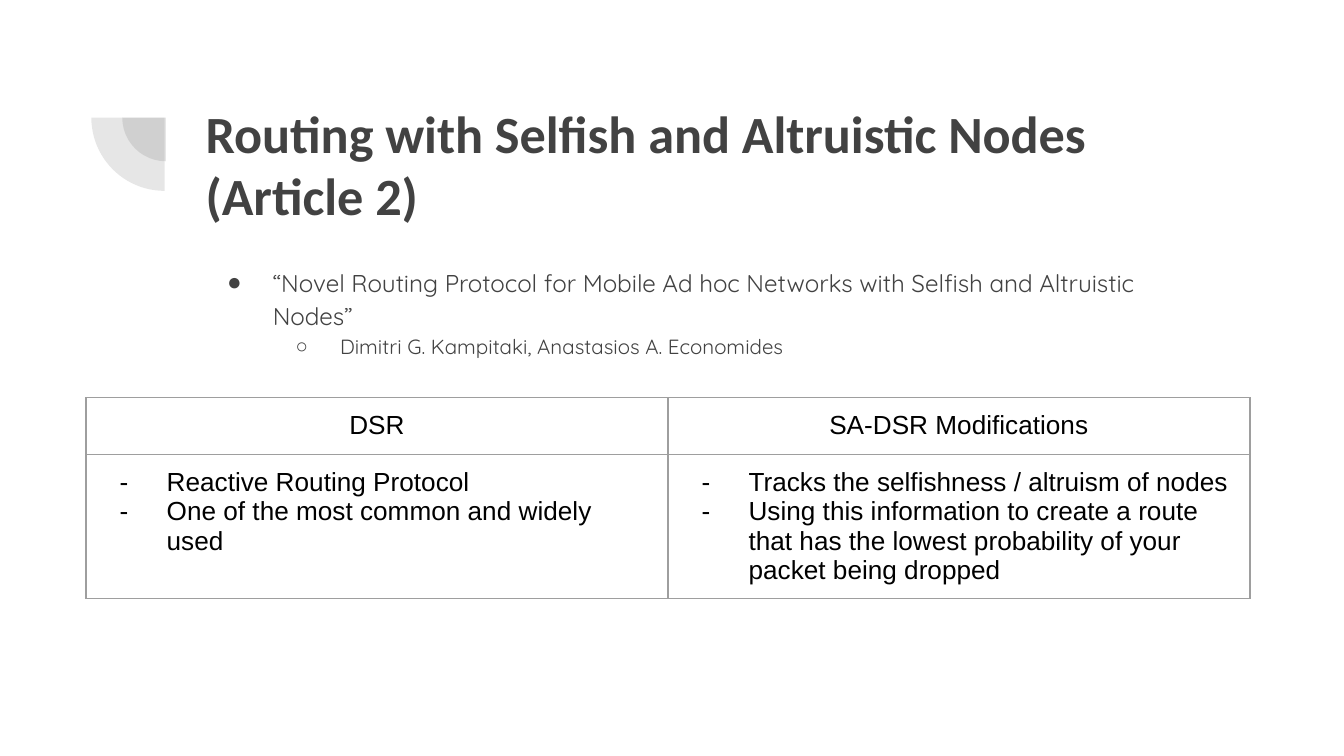
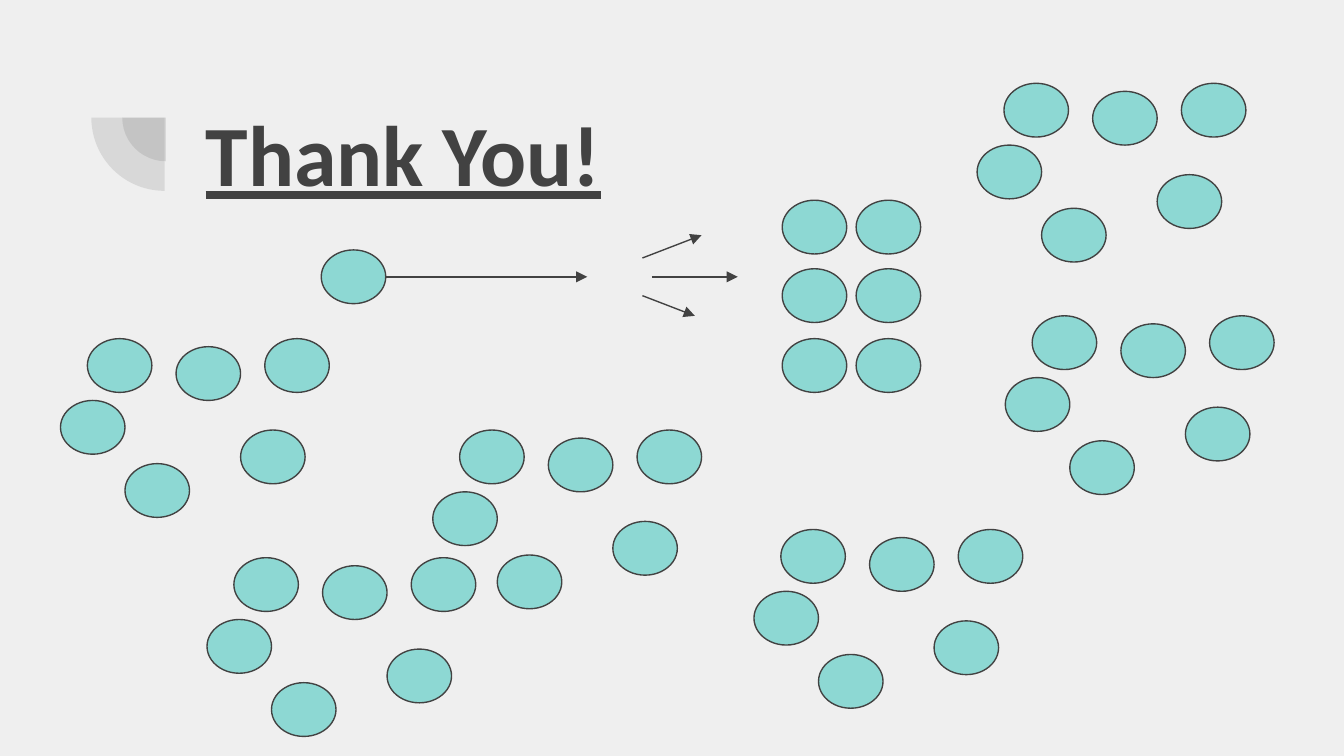
from lxml import etree
from pptx import Presentation
from pptx.dml.color import RGBColor
from pptx.enum.shapes import MSO_CONNECTOR, MSO_SHAPE
from pptx.enum.text import MSO_ANCHOR, MSO_AUTO_SIZE, PP_ALIGN
from pptx.oxml.ns import qn
from pptx.util import Inches, Pt

INK = RGBColor(0x42, 0x42, 0x42)
BLACK = RGBColor(0x00, 0x00, 0x00)
WHITE = RGBColor(0xFF, 0xFF, 0xFF)
PALE = RGBColor(0xEF, 0xEF, 0xEF)
TEAL = RGBColor(0x8D, 0xD8, 0xD3)
RULE = RGBColor(0x9E, 0x9E, 0x9E)

TITLE_ONLY, TITLE_AND_BODY = 5, 1
NODE_W, NODE_H = 0.48, 0.4
# Places of the nodes in one scattered cluster, from its top left corner
CLUSTER = [(0.86, 0.06), (1.34, 0.68), (0, 0.46), (0.2, 0), (0.48, 0.93), (1.52, 0)]
CLUSTER_CORNERS = [(5.61, 3.94), (0.45, 2.52), (3.22, 3.2),
                   (1.54, 4.15), (7.48, 2.35), (7.27, 0.62)]
ARROWS = [((2.87, 2.06), (4.37, 2.06)), ((4.78, 1.92), (5.22, 1.75)),
          ((4.85, 2.06), (5.49, 2.06)), ((4.78, 2.2), (5.17, 2.35))]


def sub(parent, tag, **attrs):
    return etree.SubElement(parent, qn(tag), attrs)


def add_run(p, text, font, size, color, bold=False, underline=False):
    r = p.add_run()
    r.text = text
    r.font.name = font
    r.font.size = Pt(size)
    r.font.color.rgb = color
    r.font.bold = bold
    r.font.underline = underline


def set_bullet(p, char, color, left, hanging):
    pPr = p._p.get_or_add_pPr()
    pPr.set("marL", str(Inches(left)))
    pPr.set("indent", str(-Inches(hanging)))
    sub(sub(pPr, "a:buClr"), "a:srgbClr", val=str(color))
    sub(pPr, "a:buFont", typeface="Arial")
    sub(pPr, "a:buChar", char=char)


def set_borders(cell, color, width):
    tcPr = cell._tc.get_or_add_tcPr()
    for side in ("a:lnL", "a:lnR", "a:lnT", "a:lnB"):
        ln = sub(tcPr, side, w=str(Pt(width)))
        sub(sub(ln, "a:solidFill"), "a:srgbClr", val=str(color))


class Deck:
    def __init__(self):
        self.prs = Presentation()
        self.prs.slide_width = Inches(10)
        self.prs.slide_height = Inches(10 * 9 / 16)
        self.s = None

    def slide(self, layout, background):
        self.s = self.prs.slides.add_slide(self.prs.slide_layouts[layout])
        self.s.background.fill.solid()
        self.s.background.fill.fore_color.rgb = background
        self.quarter_disc(0.91, 0.55, 0.65)
        self.quarter_disc(0.68, 0.33, 1.09)

    def shape(self, kind, x, y, w, h, color):
        shape = self.s.shapes.add_shape(kind, Inches(x), Inches(y), Inches(w), Inches(h))
        shape.shadow.inherit = False
        shape.fill.solid()
        shape.fill.fore_color.rgb = color
        return shape

    def quarter_disc(self, x, y, size):
        pie = self.shape(MSO_SHAPE.PIE, x, y, size, size, INK)
        pie.rotation = 270
        pie.adjustments[0] = 108
        pie.adjustments[1] = 162
        pie.line.fill.background()
        color = pie._element.spPr.find(qn("a:solidFill"))[0]
        sub(color, "a:alpha", val="13000")

    def node(self, x, y):
        node = self.shape(MSO_SHAPE.OVAL, x, y, NODE_W, NODE_H, TEAL)
        node.line.color.rgb = INK
        node.line.width = Pt(0.75)

    def arrow(self, start, end):
        line = self.s.shapes.add_connector(
            MSO_CONNECTOR.STRAIGHT, *(Inches(v) for v in start + end))
        line.line.color.rgb = INK
        line.line.width = Pt(0.75)
        sub(line.line._get_or_add_ln(), "a:tailEnd", type="triangle")
        sub(line._element.spPr, "a:effectLst")

    def placeholder(self, index, y, h):
        ph = self.s.placeholders[index]
        ph.left, ph.top, ph.width, ph.height = (Inches(v) for v in (1.43, y, 7.69, h))
        tf = ph.text_frame
        tf.margin_left = tf.margin_right = tf.margin_top = tf.margin_bottom = Inches(0.1)
        tf.vertical_anchor = MSO_ANCHOR.TOP
        tf.auto_size = MSO_AUTO_SIZE.NONE
        tf.word_wrap = True
        return tf

    def title(self, text, size, underline=False):
        p = self.placeholder(0, 0.65, 1.09).paragraphs[0]
        p.alignment = PP_ALIGN.LEFT
        add_run(p, text, "Calibri", size, INK, True, underline)

    def body(self, items):
        """Fill the body with (level, text) items."""
        tf = self.placeholder(1, 1.86, 3.09)
        styles = [("●", 0.5, 0.34, 13), ("○", 1, 0.33, 11)]
        for i, (level, text) in enumerate(items):
            p = tf.add_paragraph() if i else tf.paragraphs[0]
            char, left, hanging, size = styles[level]
            p.level = level
            p.line_spacing = 1.15
            p.space_before = Pt(0)
            set_bullet(p, char, INK, left, hanging)
            add_run(p, text, "Quicksand", size, INK)

    def table(self, heads, lists):
        frame = self.s.shapes.add_table(2, len(heads), Inches(0.64), Inches(2.96),
                                        Inches(8.66), Inches(0.84))
        table = frame.table
        table.first_row = table.horz_banding = False
        for col, (head, items) in enumerate(zip(heads, lists)):
            table.columns[col].width = Inches(4.33)
            p = self.cell(table.cell(0, col)).paragraphs[0]
            p.alignment = PP_ALIGN.CENTER
            add_run(p, head, "Arial", 14, BLACK)
            tf = self.cell(table.cell(1, col))
            for i, item in enumerate(items):
                p = tf.add_paragraph() if i else tf.paragraphs[0]
                set_bullet(p, "-", BLACK, 0.5, 0.35)
                add_run(p, item, "Arial", 14, BLACK)

    def cell(self, cell):
        """Style a table cell and return its text frame."""
        cell.margin_left = cell.margin_right = Inches(0.1)
        cell.margin_top = cell.margin_bottom = Inches(0.1)
        set_borders(cell, RULE, 0.75)
        cell.fill.background()
        return cell.text_frame


def article_slide(deck):
    deck.slide(TITLE_AND_BODY, WHITE)
    deck.title("Routing with Selfish and Altruistic Nodes (Article 2)", 28)
    deck.body([
        (0, "“Novel Routing Protocol for Mobile Ad hoc Networks with Selfish and "
            "Altruistic Nodes”"),
        (1, "Dimitri G. Kampitaki, Anastasios A. Economides"),
    ])
    deck.table(
        ["DSR", "SA-DSR Modifications"],
        [["Reactive Routing Protocol", "One of the most common and widely used"],
         ["Tracks the selfishness / altruism of nodes",
          "Using this information to create a route that has the lowest probability "
          "of your packet being dropped"]])


def thanks_slide(deck):
    deck.slide(TITLE_ONLY, PALE)
    deck.title("Thank You!", 46, underline=True)
    deck.node(2.39, 1.86)
    for x in (5.82, 6.37):
        for y in (1.49, 2, 2.52):
            deck.node(x, y)
    for start, end in ARROWS:
        deck.arrow(start, end)
    for x, y in CLUSTER_CORNERS:
        for dx, dy in CLUSTER:
            deck.node(x + dx, y + dy)


def main():
    deck = Deck()
    article_slide(deck)
    thanks_slide(deck)
    deck.prs.save("out.pptx")


if __name__ == "__main__":
    main()
